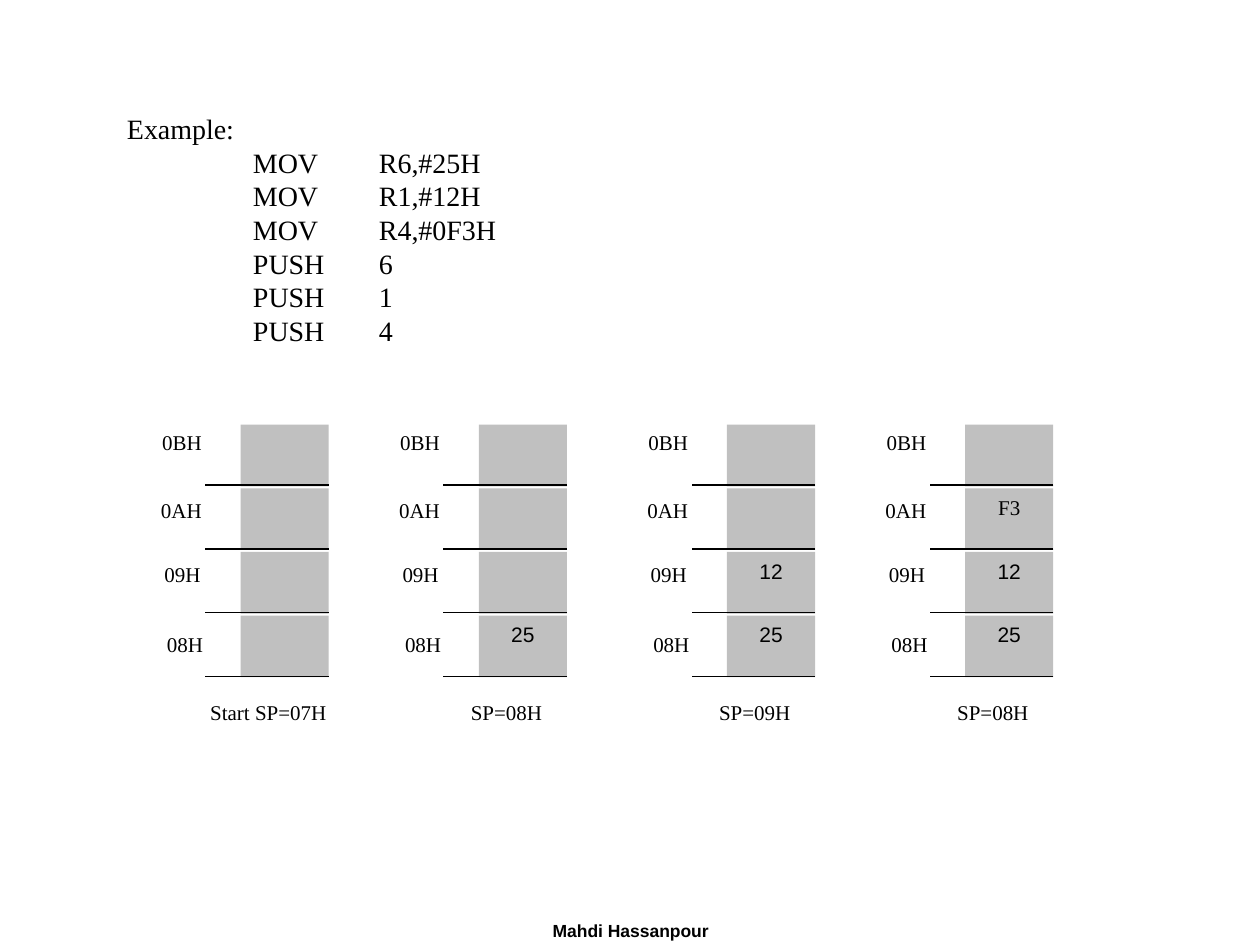
import dataclasses

import pptx
import pptx.dml.color
import pptx.enum.shapes
import pptx.enum.text
import pptx.oxml.ns
import pptx.util
from lxml import etree

Inches = pptx.util.Inches
Align = pptx.enum.text.PP_ALIGN
Anchor = pptx.enum.text.MSO_ANCHOR
qn = pptx.oxml.ns.qn


@dataclasses.dataclass(frozen=True)
class Theme:
    ink: str = "000000"
    cell: str = "C0C0C0"
    serif: str = "Times New Roman"
    sans: str = "Arial"
    code: int = 16
    label: int = 12
    foot: int = 10
    rule: float = 0.75


CODE = ["Example:", "\tMOV\tR6,#25H", "\tMOV\tR1,#12H", "\tMOV\tR4,#0F3H",
        "\tPUSH\t6", "\tPUSH\t1", "\tPUSH\t4"]

# Address, label shift and label top, from the highest address down
ROWS = [("0BH", 0, 3.36), ("0AH", 0, 3.9), ("09H", -0.01, 4.41), ("08H", 0.01, 4.96)]

# Left edge of the cells, caption, cell values
STACKS = [
    (1.91, "Start SP=07H", ["", "", "", ""]),
    (3.8, "SP=08H", ["", "", "", "25"]),
    (5.77, "SP=09H", ["", "", "12", "25"]),
    (7.66, "SP=08H", ["", "F3", "12", "25"]),
]


class Board:
    def __init__(self, slide, theme):
        self.slide = slide
        self.theme = theme

    def color(self, code):
        return pptx.dml.color.RGBColor.from_string(code)

    def style(self, para, size, face, align, bold=False):
        para.alignment = align
        font = para.font
        font.size = pptx.util.Pt(size)
        font.name = face
        font.bold = bold
        font.color.rgb = self.color(self.theme.ink)

    def mark(self, frame, text, align):
        """Write a right-to-left label, whose bare digits take the sans face."""
        para = frame.paragraphs[0]
        para.text = text
        self.style(para, self.theme.label, self.theme.serif, align)
        props = para._p.get_or_add_pPr()
        props.set("rtl", "1")
        etree.SubElement(props.find(qn("a:defRPr")), qn("a:cs"),
                         typeface=self.theme.sans)

    def box(self, home, left, top, width, height):
        shape = home.add_textbox(Inches(left), Inches(top), Inches(width), Inches(height))
        shape.text_frame.word_wrap = True
        return shape.text_frame

    def label(self, home, text, left, top, width, height, align):
        self.mark(self.box(home, left, top, width, height), text, align)

    def cell(self, home, text, left, top):
        shape = home.add_shape(pptx.enum.shapes.MSO_SHAPE.RECTANGLE,
                               Inches(left), Inches(top), Inches(0.7), Inches(0.49))
        shape.shadow.inherit = False
        shape.fill.solid()
        shape.fill.fore_color.rgb = self.color(self.theme.cell)
        shape.line.fill.background()
        if text:
            shape.text_frame.vertical_anchor = Anchor.TOP
            self.mark(shape.text_frame, text, Align.CENTER)

    def rule(self, home, start, end, top):
        line = home.add_connector(pptx.enum.shapes.MSO_CONNECTOR.STRAIGHT,
                                  Inches(start), Inches(top), Inches(end), Inches(top))
        line.line.color.rgb = self.color(self.theme.ink)
        line.line.width = pptx.util.Pt(self.theme.rule)
        etree.SubElement(line._element.spPr, qn("a:effectLst"))

    def stack(self, left, caption, values):
        home = self.slide.shapes.add_group_shape().shapes
        for row, value in enumerate(values):
            self.cell(home, value, left, 3.37 + 0.505 * row)
            self.rule(home, left + 0.7, left - 0.28, 3.85 + 0.507 * row)
        for name, shift, top in ROWS:
            self.label(home, name, left - 0.84 + shift, top, 0.63, 0.37, Align.RIGHT)
        self.label(home, caption, left - 0.48, 5.5, 1.4, 0.35, Align.CENTER)

    def code(self, lines):
        frame = self.box(self.slide.shapes, 0.91, 0.7, 3.13, 2.24)
        frame.word_wrap = False
        frame.auto_size = pptx.enum.text.MSO_AUTO_SIZE.SHAPE_TO_FIT_TEXT
        frame.vertical_anchor = Anchor.MIDDLE
        for row, text in enumerate(lines):
            para = frame.add_paragraph() if row else frame.paragraphs[0]
            run = para.add_run()
            run.text = text
            tabs = etree.SubElement(para._p.get_or_add_pPr(), qn("a:tabLst"))
            for stop in range(8):
                etree.SubElement(tabs, qn("a:tab"), pos=str(Inches(stop)), algn="l")
            self.style(para, self.theme.code, self.theme.serif, Align.LEFT)

    def foot(self, text):
        para = self.box(self.slide.shapes, 3.42, 7.25, 3.17, 0.25).paragraphs[0]
        para.text = text
        self.style(para, self.theme.foot, self.theme.sans, Align.CENTER, bold=True)


def main():
    deck = pptx.Presentation()
    deck.slide_width = Inches(10)
    deck.slide_height = Inches(7.5)
    board = Board(deck.slides.add_slide(deck.slide_layouts[6]), Theme())
    board.code(CODE)
    for left, caption, values in STACKS:
        board.stack(left, caption, values)
    board.foot("Mahdi Hassanpour")
    deck.save("out.pptx")


if __name__ == "__main__":
    main()
